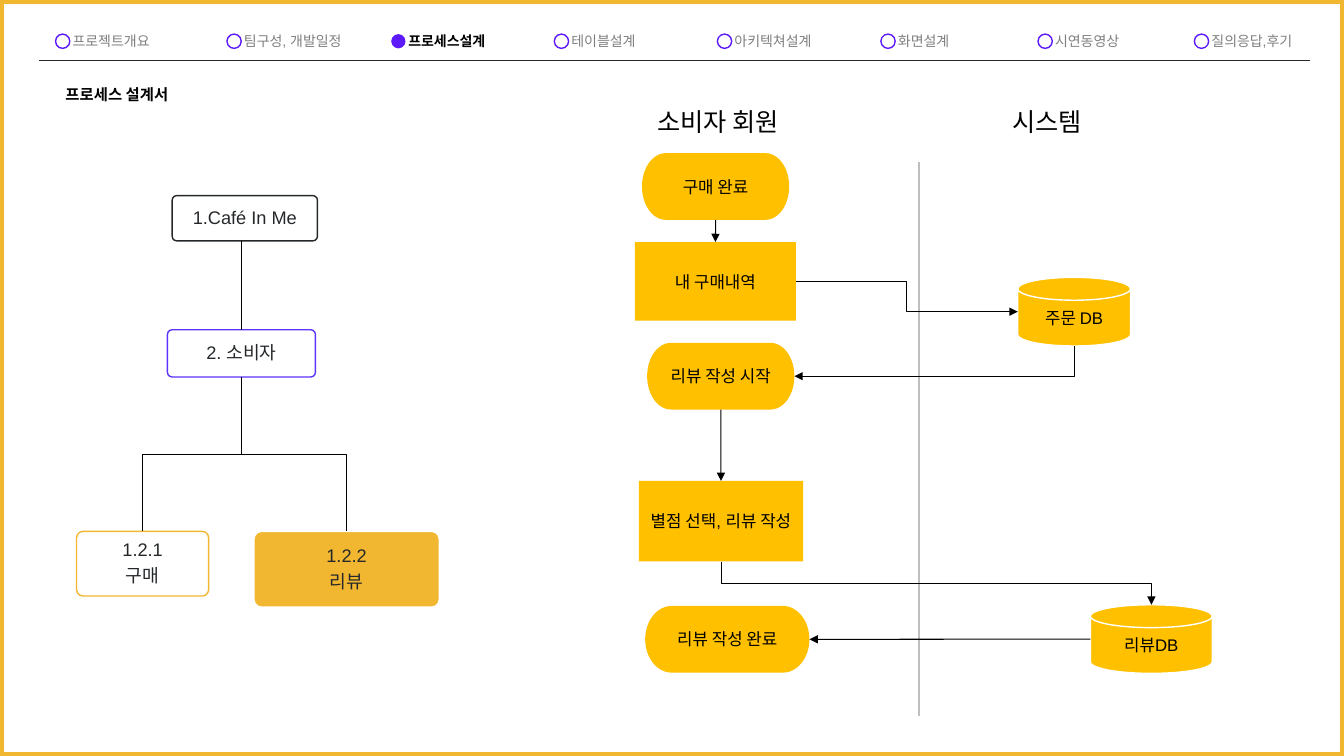
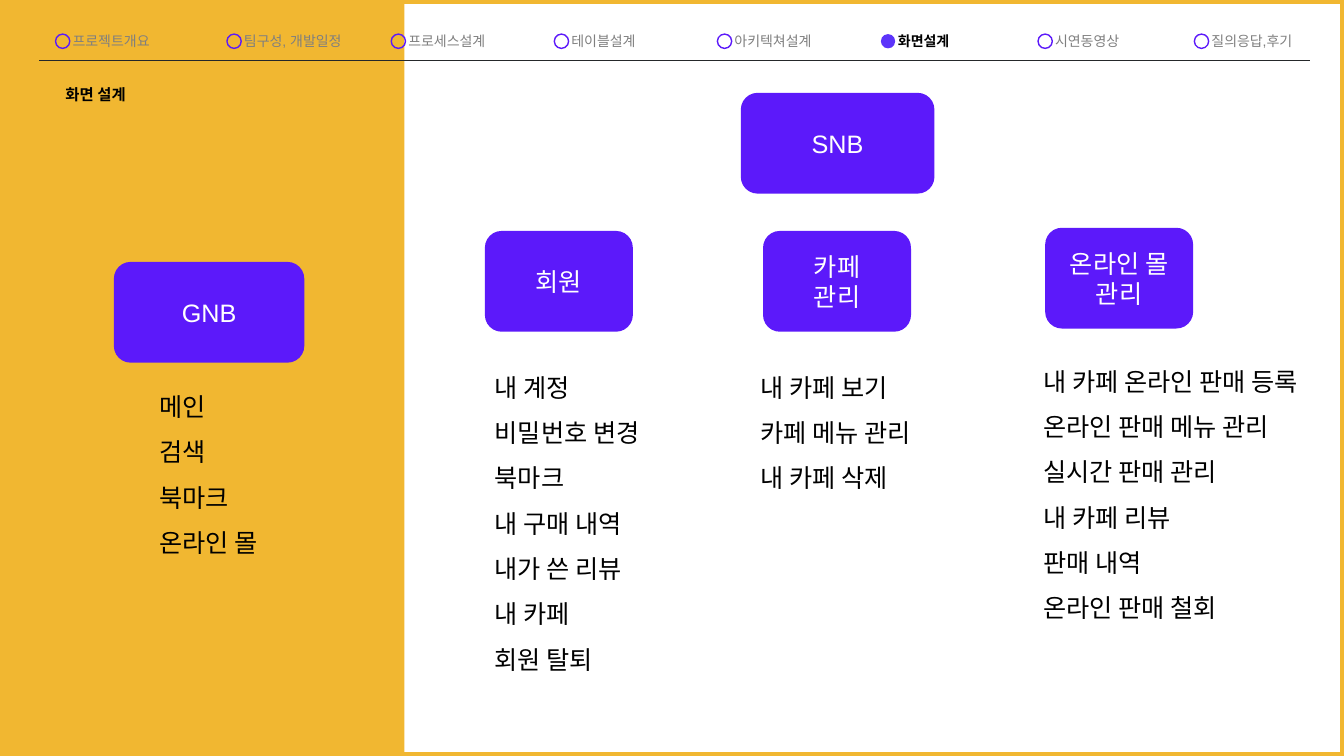
from lxml import etree
from pptx import Presentation
from pptx.dml.color import RGBColor
from pptx.enum.shapes import MSO_CONNECTOR, MSO_SHAPE
from pptx.enum.text import MSO_ANCHOR, PP_ALIGN
from pptx.oxml.ns import qn
from pptx.util import Cm, Pt

STRAIGHT, ELBOW = MSO_CONNECTOR.STRAIGHT, MSO_CONNECTOR.ELBOW
RECT, ROUNDED, OVAL = MSO_SHAPE.RECTANGLE, MSO_SHAPE.ROUNDED_RECTANGLE, MSO_SHAPE.OVAL
TERMINATOR, DISK = MSO_SHAPE.FLOWCHART_TERMINATOR, MSO_SHAPE.FLOWCHART_MAGNETIC_DISK
CENTER, LEFT = PP_ALIGN.CENTER, PP_ALIGN.LEFT
MIDDLE, TOP = MSO_ANCHOR.MIDDLE, MSO_ANCHOR.TOP
SITE_TOP, SITE_BOTTOM, SITE_RIGHT = 0, 2, 3

FONT = "Arial"
BLACK, WHITE = RGBColor(0, 0, 0), RGBColor(0xFF, 0xFF, 0xFF)
INK, GREY = RGBColor(0x25, 0x28, 0x2A), RGBColor(0x7F, 0x7F, 0x7F)
SILVER = RGBColor(0xBF, 0xBF, 0xBF)
VIOLET, INDIGO = RGBColor(0x5C, 0x19, 0xFA), RGBColor(0x5C, 0x34, 0xFA)
MUSTARD, AMBER = RGBColor(0xF1, 0xB7, 0x31), RGBColor(0xFF, 0xC0, 0x00)

SLIDE_W, SLIDE_H = 33.87, 19.05

# Navigation: left edge of the dot, label
NAV = [
    (1.4, "프로젝트개요"), (5.72, "팀구성, 개발일정"), (9.86, "프로세스설계"),
    (13.97, "테이블설계"), (18.08, "아키텍쳐설계"), (22.2, "화면설계"),
    (26.16, "시연동영상"), (30.1, "질의응답,후기"),
]

# Process tree: lines, box, fill, outline
TREE = {
    "root": (["1.Café In Me"], (4.34, 4.93, 3.66, 1.14), None, INK),
    "consumer": (["2. 소비자"], (4.22, 8.31, 3.73, 1.19), None, INDIGO),
    "purchase": (["1.2.1", "구매"], (1.93, 13.39, 3.33, 1.63), None, MUSTARD),
    "review": (["1.2.2", "리뷰"], (6.4, 13.39, 4.67, 1.91), MUSTARD, WHITE),
}

# Swim lanes: headings, steps (text, preset, box)
LANES = [("소비자 회원", 16.31), ("시스템", 25.27)]
STEPS = {
    "bought": ("구매 완료", TERMINATOR, (16.18, 3.86, 3.71, 1.68)),
    "history": ("내 구매내역", RECT, (16, 6.1, 4.06, 1.98)),
    "start": ("리뷰 작성 시작", TERMINATOR, (16.31, 8.64, 3.71, 1.68)),
    "rating": ("별점 선택, 리뷰 작성", RECT, (16.1, 12.12, 4.14, 2.03)),
    "done": ("리뷰 작성 완료", TERMINATOR, (16.26, 15.27, 4.14, 1.68)),
    "orders": ("주문 DB", DISK, (25.65, 6.99, 2.84, 1.73)),
    "reviews": ("리뷰DB", DISK, (27.48, 15.24, 3.07, 1.73)),
}

# Menus: heading lines, left, top, width of the card
CARD_H = 2.54
CARDS = [
    (["GNB"], 2.87, 6.6, 4.8),
    (["SNB"], 18.67, 2.34, 4.88),
    (["회원"], 12.22, 5.82, 3.73),
    (["카페", "관리"], 19.23, 5.82, 3.73),
    (["온라인 몰", "관리"], 26.34, 5.74, 3.73),
]
MENUS = [
    ((3.76, 9.35, 3.56, 4.88), ["메인", "검색", "북마크", "온라인 몰"]),
    ((12.22, 8.86, 5.64, 8.33),
     ["내 계정", "비밀번호 변경", "북마크", "내 구매 내역", "내가 쓴 리뷰",
      "내 카페", "회원 탈퇴"]),
    ((18.92, 8.86, 6.81, 3.71), ["내 카페 보기", "카페 메뉴 관리", "내 카페 삭제"]),
    ((26.04, 8.71, 7.54, 7.19),
     ["내 카페 온라인 판매 등록", "온라인 판매 메뉴 관리", "실시간 판매 관리",
      "내 카페 리뷰", "판매 내역", "온라인 판매 철회"]),
]


def write(shape, lines, size, color, bold=False, align=LEFT, anchor=TOP,
          spacing=None, gap=0, inset=0.25):
    frame = shape.text_frame
    frame.word_wrap = True
    frame.vertical_anchor = anchor
    frame.margin_left = frame.margin_right = Cm(inset)
    frame.margin_top = frame.margin_bottom = Cm(0.13)
    for i, line in enumerate(lines):
        paragraph = frame.paragraphs[0] if i == 0 else frame.add_paragraph()
        paragraph.text = line
        paragraph.alignment = align
        if spacing:
            paragraph.line_spacing = spacing
        if i and gap:
            paragraph.space_before = Pt(gap)
        font = paragraph.font
        font.name, font.size, font.bold = FONT, Pt(size), bold
        font.color.rgb = color


def add_text(slide, box, lines, size, color=BLACK, **style):
    write(slide.shapes.add_textbox(*map(Cm, box)), lines, size, color, **style)


def add_box(slide, preset, box, fill=None, outline=None, width=1):
    shape = slide.shapes.add_shape(preset, *map(Cm, box))
    shape.shadow.inherit = False
    if fill is None:
        shape.fill.background()
    else:
        shape.fill.solid()
        shape.fill.fore_color.rgb = fill
    if outline is None:
        shape.line.fill.background()
    else:
        shape.line.color.rgb = outline
        shape.line.width = Pt(width)
    return shape


def add_line(slide, start, end, color=BLACK, width=0.75, arrow=False, kind=STRAIGHT):
    line = slide.shapes.add_connector(kind, *map(Cm, (*start, *end)))
    line.line.color.rgb = color
    line.line.width = Pt(width)
    if arrow:
        etree.SubElement(line.line._get_or_add_ln(), qn("a:tailEnd"), type="triangle")
    etree.SubElement(line._element.spPr, qn("a:effectLst"))
    return line


def add_drop(slide, start, end, preset="bentConnector3", arrow=False):
    """Elbow that leaves its start downwards: a turned, centred elbow."""
    (x1, y1), (x2, y2) = start, end
    mid_x, mid_y = (x1 + x2) / 2, (y1 + y2) / 2
    half_w, half_h = (y2 - y1) / 2, abs(x2 - x1) / 2
    side = 1 if x2 > x1 else -1
    elbow = add_line(slide, (mid_x + side * half_w, mid_y - half_h),
                     (mid_x - side * half_w, mid_y + half_h), arrow=arrow, kind=ELBOW)
    properties = elbow._element.spPr
    properties.find(qn("a:xfrm")).set("rot", str((270 if side > 0 else 90) * 60000))
    properties.find(qn("a:prstGeom")).set("prst", preset)


def top(box):
    return box[0] + box[2] / 2, box[1]


def bottom(box):
    return box[0] + box[2] / 2, box[1] + box[3]


def left(box):
    return box[0], box[1] + box[3] / 2


def right(box):
    return box[0] + box[2], box[1] + box[3] / 2


def add_page(deck, title, active, active_color, panel_w=0):
    slide = deck.slides.add_slide(deck.slide_layouts[6])
    if panel_w:
        add_box(slide, RECT, (0, 0, panel_w, SLIDE_H), MUSTARD)
    add_line(slide, (0.99, 1.53), (33.02, 1.53), INK, 1)
    for x, label in NAV:
        on = label == active
        add_box(slide, OVAL, (x, 0.86, 0.36, 0.36),
                active_color if on else None, None if on else VIOLET)
        add_text(slide, (x + 0.18, 0.69, 3.33, 0.69), [label], 10,
                 BLACK if on else GREY, bold=on)
    add_box(slide, RECT, (0, 0, SLIDE_W, SLIDE_H), None, MUSTARD, 6)
    add_text(slide, (1.4, 2.01, 3.76, 0.74), [title], 11, bold=True)
    return slide


def build_process(deck):
    slide = add_page(deck, "프로세스 설계서", "프로세스설계", VIOLET)

    # Process tree
    nodes = {}
    for key, (lines, box, fill, outline) in TREE.items():
        node = nodes[key] = add_box(slide, ROUNDED, box, fill, outline)
        node.adjustments[0] = 0.1
        write(node, lines, 13, INK, align=CENTER, anchor=MIDDLE,
              spacing=0.9, gap=4.5, inset=0.13)
    consumer = TREE["consumer"][1]
    trunk_x, trunk_y = top(consumer)
    trunk = add_line(slide, (trunk_x, bottom(TREE["root"][1])[1]), (trunk_x, trunk_y))
    trunk.end_connect(nodes["consumer"], SITE_TOP)
    for branch in ("purchase", "review"):
        add_drop(slide, bottom(consumer), top(TREE[branch][1]))

    # Swim lanes
    for heading, x in LANES:
        add_text(slide, (x, 2.54, 5.46, 1.02), [heading], 18)
    add_line(slide, (23.16, 4.09), (23.16, 18.03), SILVER)
    shapes, boxes = {}, {}
    for key, (label, preset, box) in STEPS.items():
        outline = WHITE if preset == DISK else None
        shapes[key], boxes[key] = add_box(slide, preset, box, AMBER, outline), box
        write(shapes[key], [label], 12, BLACK, align=CENTER, anchor=MIDDLE)

    # Flow arrows
    for source, target in (("bought", "history"), ("start", "rating")):
        arrow = add_line(slide, bottom(boxes[source]), top(boxes[target]), arrow=True)
        arrow.begin_connect(shapes[source], SITE_BOTTOM)
        arrow.end_connect(shapes[target], SITE_TOP)
    add_line(slide, right(boxes["history"]), left(boxes["orders"]), arrow=True, kind=ELBOW)
    add_drop(slide, bottom(boxes["orders"]), right(boxes["start"]), "bentConnector2", True)
    add_drop(slide, bottom(boxes["rating"]), top(boxes["reviews"]), arrow=True)
    saved = add_line(slide, left(boxes["reviews"]), right(boxes["done"]), arrow=True)
    saved.end_connect(shapes["done"], SITE_RIGHT)


def build_screens(deck):
    slide = add_page(deck, "화면 설계", "화면설계", INDIGO, panel_w=10.19)
    for lines, x, y, width in CARDS:
        card = add_box(slide, ROUNDED, (x, y, width, CARD_H), VIOLET)
        write(card, lines, 18, WHITE, align=CENTER, anchor=MIDDLE)
    for box, entries in MENUS:
        add_text(slide, box, entries, 18, spacing=1.5)


def main():
    deck = Presentation()
    deck.slide_width, deck.slide_height = Cm(SLIDE_W), Cm(SLIDE_H)
    build_process(deck)
    build_screens(deck)
    deck.save("out.pptx")


if __name__ == "__main__":
    main()
